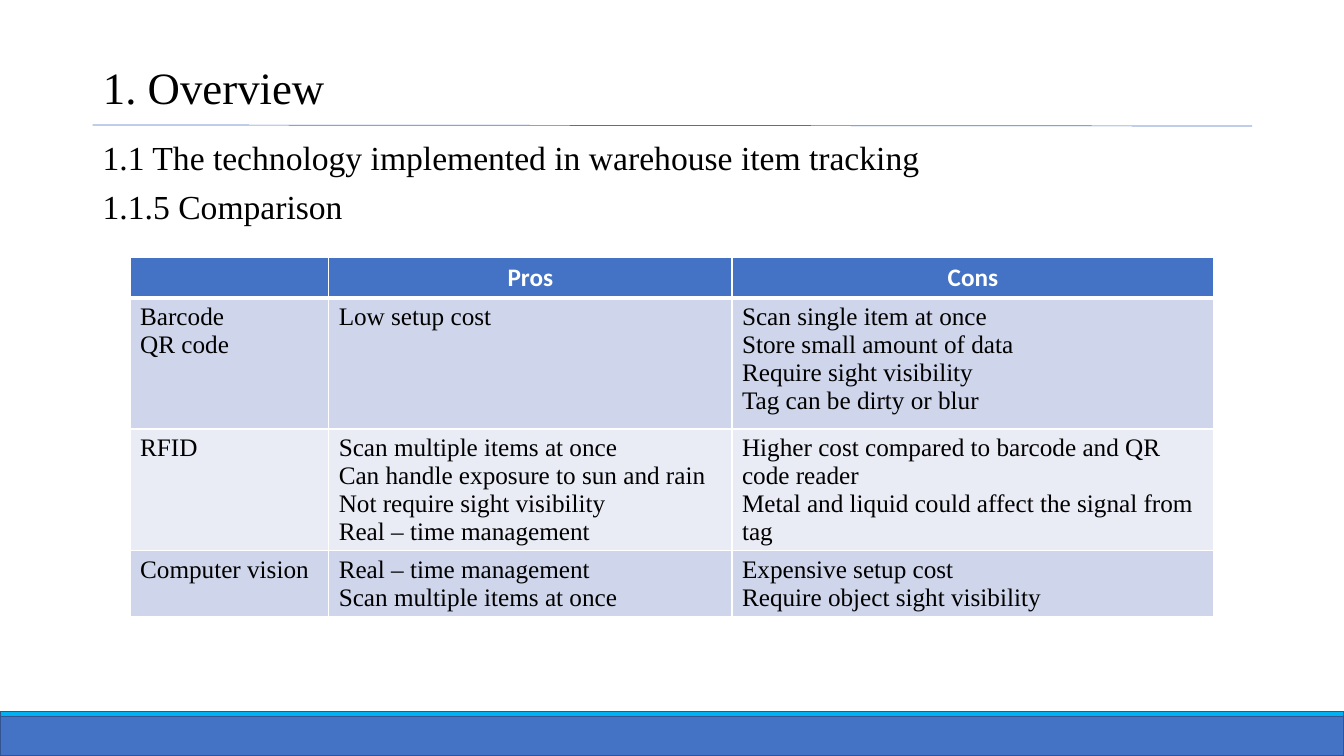
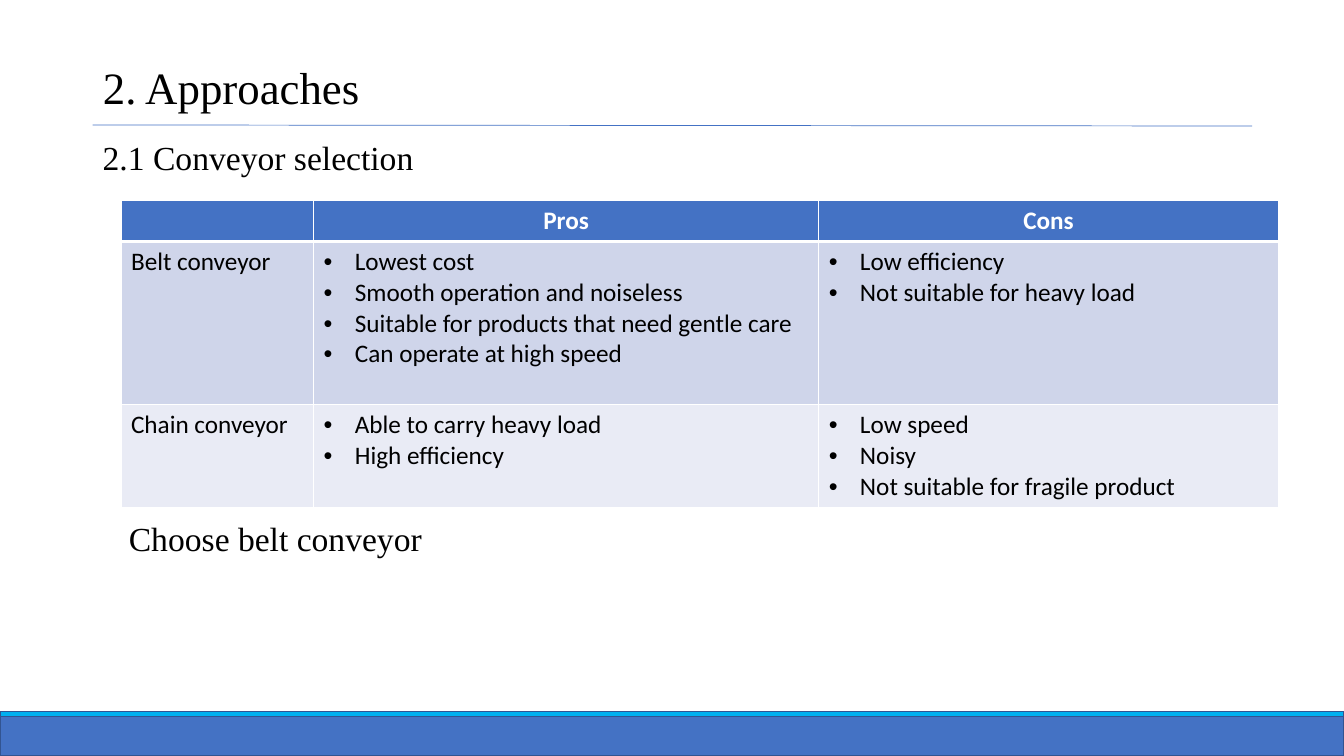
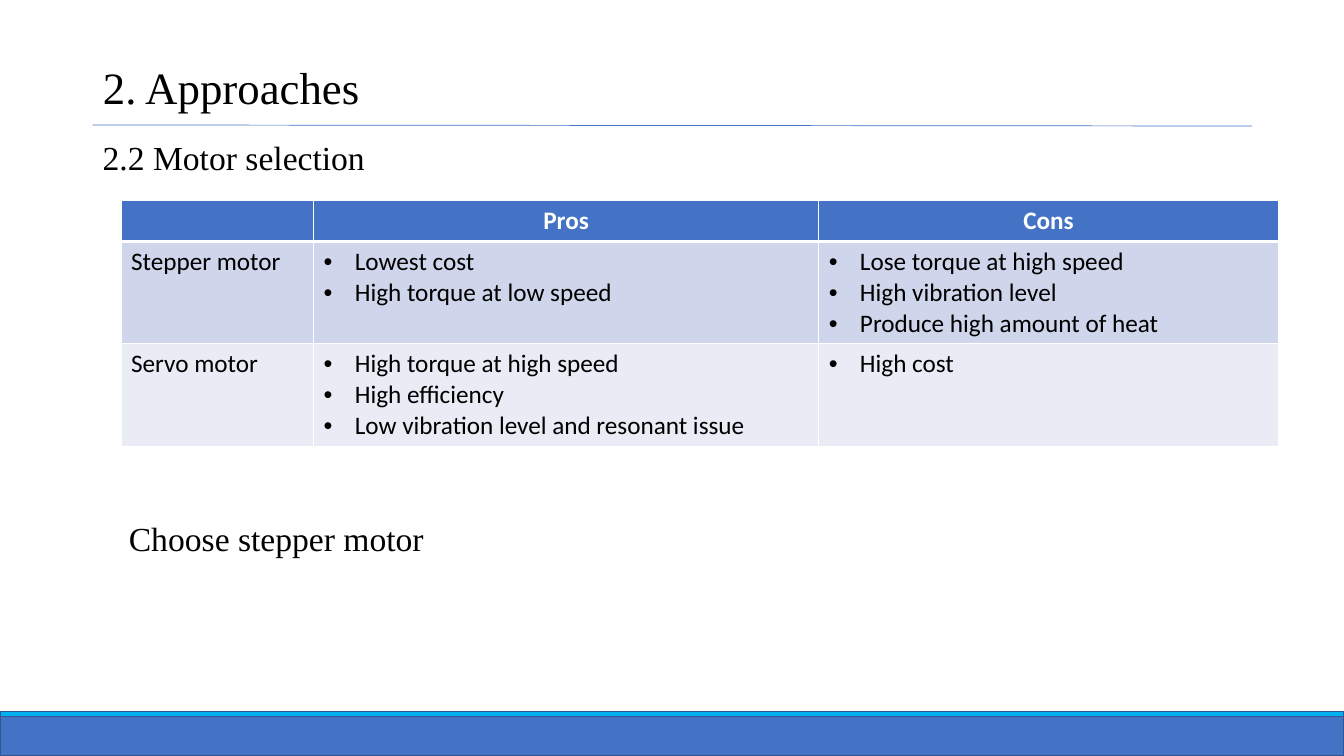
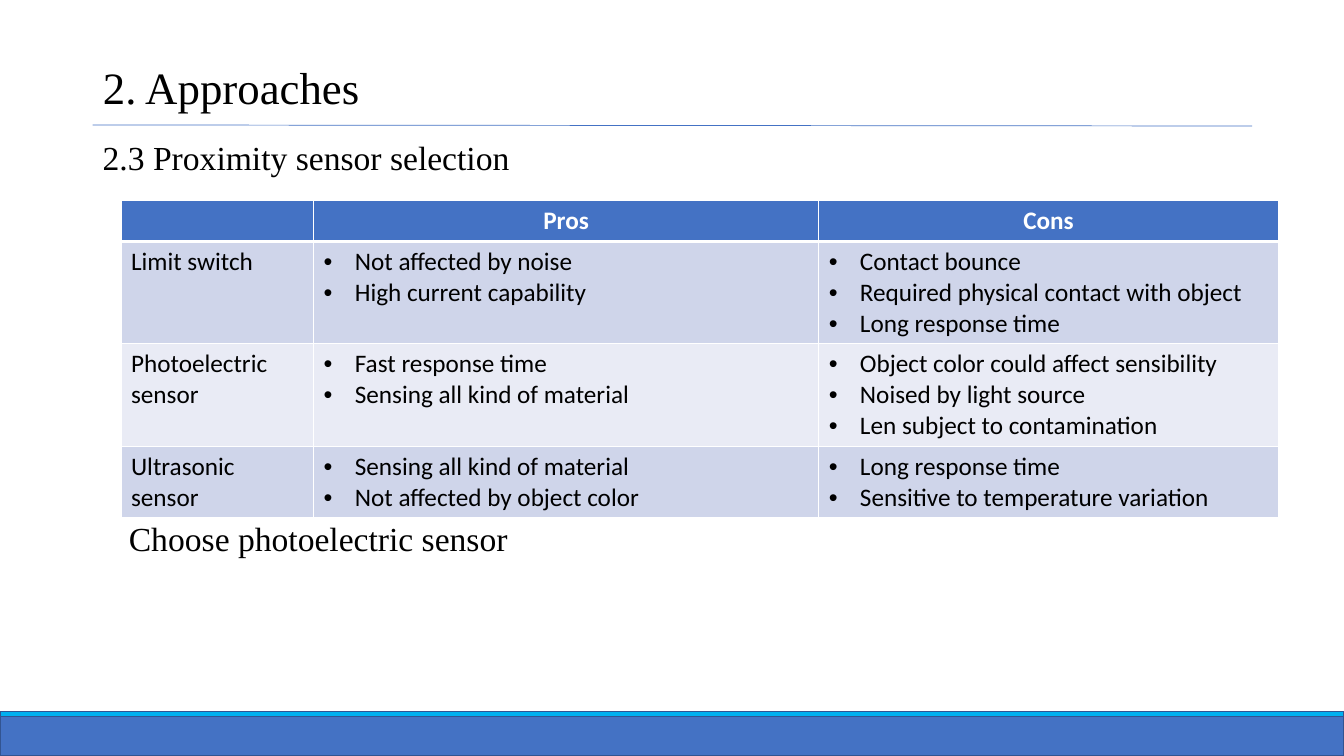
from lxml import etree
from pptx import Presentation
from pptx.dml.color import RGBColor
from pptx.enum import shapes, text
from pptx.oxml import ns
from pptx.util import Inches, Pt

COLORS = {"blue": "4472C4", "edge": "325491", "cyan": "00B0F0", "white": "FFFFFF",
          "black": "000000", "odd": "CFD5EA", "even": "E9EBF5"}
SERIF, SANS = "Times New Roman", "Calibri"
HEADER = ("", "Pros", "Cons")
HEADER_HEIGHT = 0.4

# Table designs: position, column widths, body font and bullets
OVERVIEW = {"at": (1.29, 2.55), "cols": (1.97, 4, 4.78), "font": SERIF, "bullets": False}
SELECTION = {"at": (1.2, 1.99), "cols": (1.91, 5.01, 4.56), "font": SANS, "bullets": True}

# Places of the text lines: left, top, width, height
TITLE_AT = (0.92, 0.4, 11.5, 0.99)
HEADING_AT = (0.92, 1.39, 11.5, 0.45)
SUBHEADING_AT = (0.92, 1.84, 11.5, 0.49)
CHOICE_AT = (1.18, 5.13, 11.5, 0.49)

# Content: each row is its height, the item, its pros and its cons
PAGES = [
    {"title": "1. Overview",
     "heading": "1.1 The technology implemented in warehouse item tracking",
     "extra": ("1.1.5 Comparison", SUBHEADING_AT),
     "design": OVERVIEW,
     "rows": [
         (1.3, ["Barcode", "QR code"],
          ["Low setup cost"],
          ["Scan single item at once", "Store small amount of data",
           "Require sight visibility", "Tag can be dirty or blur"]),
         (1.2, ["RFID"],
          ["Scan multiple items at once", "Can handle exposure to sun and rain",
           "Not require sight visibility", "Real – time management"],
          ["Higher cost compared to barcode and QR code reader",
           "Metal and liquid could affect the signal from tag"]),
         (0.65, ["Computer vision"],
          ["Real – time management", "Scan multiple items at once"],
          ["Expensive setup cost", "Require object sight visibility"])]},
    {"title": "2. Approaches",
     "heading": "2.1 Conveyor selection",
     "extra": ("Choose belt conveyor", CHOICE_AT),
     "design": SELECTION,
     "rows": [
         (1.62, ["Belt conveyor"],
          ["Lowest cost", "Smooth operation and noiseless",
           "Suitable for products that need gentle care", "Can operate at high speed"],
          ["Low efficiency", "Not suitable for heavy load"]),
         (1.01, ["Chain conveyor"],
          ["Able to carry heavy load", "High efficiency"],
          ["Low speed", "Noisy", "Not suitable for fragile product"])]},
    {"title": "2. Approaches",
     "heading": "2.2 Motor selection",
     "extra": ("Choose stepper motor", CHOICE_AT),
     "design": SELECTION,
     "rows": [
         (1.01, ["Stepper motor"],
          ["Lowest cost", "High torque at low speed"],
          ["Lose torque at high speed", "High vibration level",
           "Produce high amount of heat"]),
         (1.01, ["Servo motor"],
          ["High torque at high speed", "High efficiency",
           "Low vibration level and resonant issue"],
          ["High cost"])]},
    {"title": "2. Approaches",
     "heading": "2.3 Proximity sensor selection",
     "extra": ("Choose photoelectric sensor", CHOICE_AT),
     "design": SELECTION,
     "rows": [
         (1.01, ["Limit switch"],
          ["Not affected by noise", "High current capability"],
          ["Contact bounce", "Required physical contact with object",
           "Long response time"]),
         (1.01, ["Photoelectric sensor"],
          ["Fast response time", "Sensing all kind of material"],
          ["Object color could affect sensibility", "Noised by light source",
           "Len subject to contamination"]),
         (0.71, ["Ultrasonic sensor"],
          ["Sensing all kind of material", "Not affected by object color"],
          ["Long response time", "Sensitive to temperature variation"])]},
]


def color(name):
    return RGBColor.from_string(COLORS[name])


def add_span(para, words, size, font, ink="black", bold=False):
    span = para.add_run()
    span.text = words
    span.font.size, span.font.name, span.font.bold = Pt(size), font, bold
    span.font.color.rgb = color(ink)


# Title and text lines
def write_line(box, words, size, spacing, anchor):
    frame = box.text_frame
    frame.word_wrap, frame.auto_size = True, text.MSO_AUTO_SIZE.NONE
    frame.vertical_anchor = anchor
    para = frame.paragraphs[0]
    para.alignment, para.line_spacing = text.PP_ALIGN.LEFT, spacing
    add_span(para, words, size, SERIF)


def add_title(page, words):
    title = page.shapes.title
    title.left, title.top, title.width, title.height = map(Inches, TITLE_AT)
    write_line(title, words, 32, 0.9, text.MSO_ANCHOR.MIDDLE)


def add_line(page, words, at, spacing):
    box = page.shapes.add_textbox(*map(Inches, at))
    write_line(box, words, 24, spacing, text.MSO_ANCHOR.TOP)


# Rule under the title and the bands at the foot
def add_frame(page):
    rule = page.shapes.add_connector(shapes.MSO_CONNECTOR.STRAIGHT,
                                     *map(Inches, (0.92, 1.24, 12.42, 1.25)))
    rule.line.color.rgb, rule.line.width = color("blue"), Pt(0.5)
    etree.SubElement(rule._element.spPr, ns.qn("a:effectLst"))
    for top, height, fill in ((7.11, 0.39, "blue"), (7.06, 0.05, "cyan")):
        band = page.shapes.add_shape(shapes.MSO_SHAPE.RECTANGLE,
                                     *map(Inches, (0, top, 13.33, height)))
        band.shadow.inherit = False
        band.fill.solid()
        band.fill.fore_color.rgb = color(fill)
        band.line.color.rgb, band.line.width = color("edge"), Pt(1)


# Tables
def style_cell(cell, fill, row):
    """White borders, with a thick one between the header and the body."""
    widths = {"lnL": 1, "lnR": 1, "lnT": 3 if row == 1 else 1, "lnB": 3 if row == 0 else 1}
    props = cell._tc.get_or_add_tcPr()
    for side, width in widths.items():
        border = etree.SubElement(props, ns.qn("a:" + side), w=str(Pt(width)))
        solid = etree.SubElement(border, ns.qn("a:solidFill"))
        etree.SubElement(solid, ns.qn("a:srgbClr"), val=COLORS["white"])
    cell.fill.solid()
    cell.fill.fore_color.rgb = color(fill)


def add_bullet(para):
    props = para._p.get_or_add_pPr()
    indent = Inches(0.31)
    props.set("marL", str(indent))
    props.set("indent", str(-indent))
    etree.SubElement(props, ns.qn("a:buFont"), typeface="Arial")
    etree.SubElement(props, ns.qn("a:buChar"), char="•")


def fill_cell(cell, lines, font, bullets):
    for index, words in enumerate(lines):
        frame = cell.text_frame
        para = frame.add_paragraph() if index else frame.paragraphs[0]
        if bullets:
            add_bullet(para)
        add_span(para, words, 18, font)


def add_comparison(page, rows, design):
    heights = [HEADER_HEIGHT] + [row[0] for row in rows]
    size = (sum(design["cols"]), sum(heights))
    table = page.shapes.add_table(len(heights), len(HEADER),
                                  *map(Inches, design["at"] + size)).table
    for column, width in zip(table.columns, design["cols"]):
        column.width = Inches(width)
    for line, height in zip(table.rows, heights):
        line.height = Inches(height)

    for col, words in enumerate(HEADER):
        cell = table.cell(0, col)
        style_cell(cell, "blue", 0)
        if words:
            para = cell.text_frame.paragraphs[0]
            para.alignment = text.PP_ALIGN.CENTER
            add_span(para, words, 18, SANS, "white", True)

    for number, (_, *cells) in enumerate(rows, 1):
        for col, lines in enumerate(cells):
            cell = table.cell(number, col)
            style_cell(cell, "odd" if number % 2 else "even", number)
            fill_cell(cell, lines, design["font"], design["bullets"] and col > 0)


def main():
    deck = Presentation()
    deck.slide_width, deck.slide_height = Inches(13.33), Inches(7.5)
    for content in PAGES:
        page = deck.slides.add_slide(deck.slide_layouts[5])
        add_title(page, content["title"])
        add_line(page, content["heading"], HEADING_AT, 0.8)
        add_line(page, *content["extra"], 0.9)
        add_frame(page)
        add_comparison(page, content["rows"], content["design"])
    deck.save("out.pptx")


if __name__ == "__main__":
    main()
